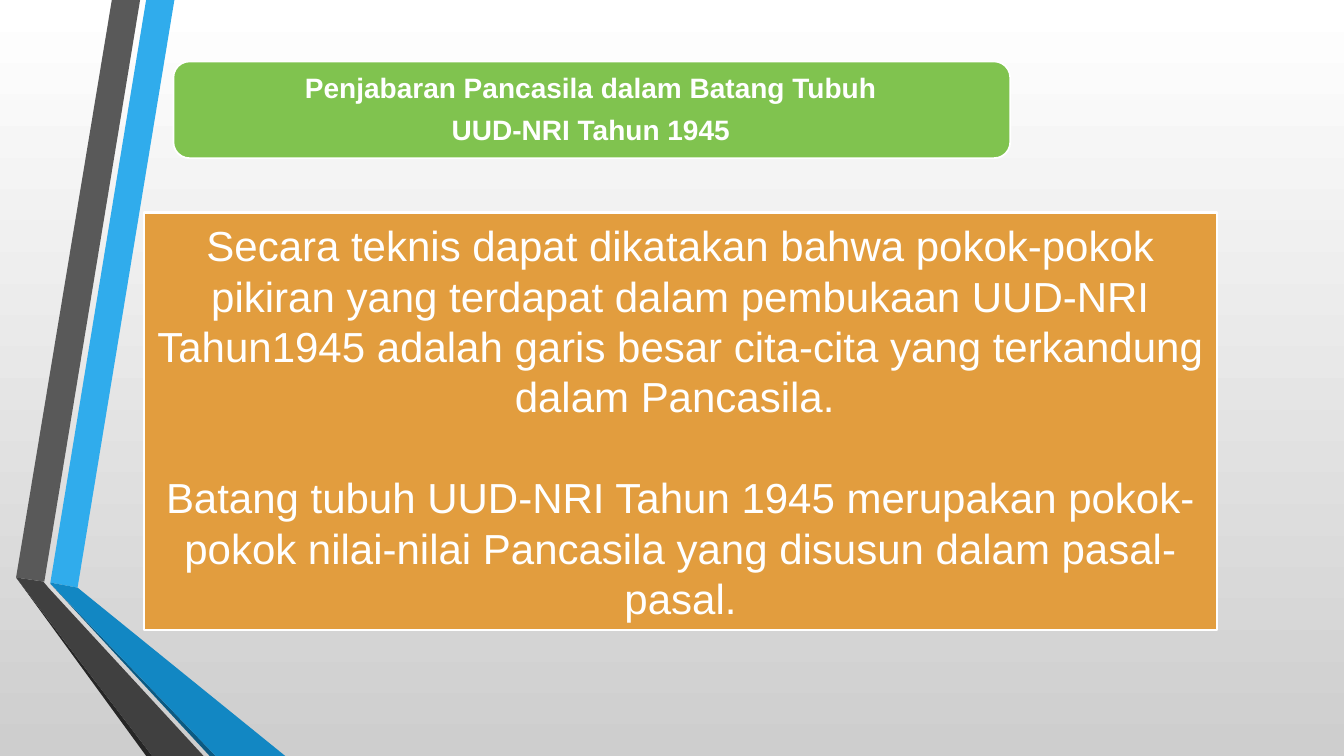
import pptx
import pptx.util
import pptx.dml.color
import pptx.enum.shapes
import pptx.enum.text

Inches = pptx.util.Inches
Pt = pptx.util.Pt
RGBColor = pptx.dml.color.RGBColor
SHAPE = pptx.enum.shapes.MSO_SHAPE

WHITE = RGBColor(0xFF, 0xFF, 0xFF)
SILVER = RGBColor(0xCE, 0xCE, 0xCE)
GREEN = RGBColor(0x80, 0xC3, 0x4F)
ORANGE = RGBColor(0xE2, 0x9D, 0x3E)
SKY = RGBColor(0x30, 0xAC, 0xEC)
BLUE = RGBColor(0x12, 0x87, 0xC3)
NAVY = RGBColor(0x0C, 0x5A, 0x82)
GRAY = RGBColor(0x59, 0x59, 0x59)
CHARCOAL = RGBColor(0x40, 0x40, 0x40)
BLACKISH = RGBColor(0x26, 0x26, 0x26)

RIBBONS = [
    (SKY, [(0.5, 5.78), (0.77, 5.83), (1.73, 0), (1.45, 0)]),
    (GRAY, [(1.39, 0), (1.11, 0), (0.16, 5.73), (0.44, 5.77)]),
    (BLACKISH, [(0.16, 5.73), (1.45, 7.5), (1.51, 7.5)]),
    (NAVY, [(0.5, 5.79), (2.08, 7.5), (2.14, 7.5)]),
    (BLUE, [(0.5, 5.79), (2.14, 7.5), (2.83, 7.5), (0.77, 5.83), (0.5, 5.78)]),
    (CHARCOAL, [(2.02, 7.5), (0.48, 5.83), (0.43, 5.77), (0.16, 5.73), (1.51, 7.5)]),
]
TITLE = ["Penjabaran Pancasila dalam Batang Tubuh", "UUD-NRI Tahun 1945"]
BODY = [
    "Secara teknis dapat dikatakan bahwa pokok-pokok pikiran yang terdapat "
    "dalam pembukaan UUD-NRI Tahun1945 adalah garis besar cita-cita yang "
    "terkandung dalam Pancasila. ",
    "Batang tubuh UUD-NRI Tahun 1945 merupakan pokok-pokok nilai-nilai "
    "Pancasila yang disusun dalam pasal-pasal.",
]


def set_background(s):
    fill = s.background.fill
    fill.gradient()
    fill.gradient_angle = 270
    for stop, color in zip(fill.gradient_stops, (WHITE, SILVER)):
        stop.color.rgb = color


def add_ribbon(s, color, points):
    (x, y), *rest = [(Inches(x), Inches(y)) for x, y in points]
    builder = s.shapes.build_freeform(x, y)
    builder.add_line_segments(rest, close=True)
    sp = builder.convert_to_shape()
    sp.shadow.inherit = False
    sp.fill.solid()
    sp.fill.fore_color.rgb = color
    sp.line.fill.background()


def add_panel(s, kind, box, color, line_width):
    sp = s.shapes.add_shape(kind, *map(Inches, box))
    sp.shadow.inherit = False
    sp.fill.solid()
    sp.fill.fore_color.rgb = color
    sp.line.color.rgb = WHITE
    sp.line.width = Pt(line_width)
    return sp


def write(tf, lines, size, bold, gap, spacing):
    """Fill a frame with centred white paragraphs, gap points apart."""
    tf.word_wrap = True
    tf.auto_size = pptx.enum.text.MSO_AUTO_SIZE.NONE
    tf.vertical_anchor = pptx.enum.text.MSO_ANCHOR.MIDDLE
    tf.text = "\n".join(lines)
    for i, p in enumerate(tf.paragraphs):
        p.alignment = pptx.enum.text.PP_ALIGN.CENTER
        p.line_spacing = spacing
        p.space_before = Pt(gap if i else 0)
        for r in p.runs:
            r.font.name = "Arial"
            r.font.size = Pt(size)
            r.font.bold = bold
            r.font.color.rgb = WHITE


def place_title(s):
    sp = s.shapes.title
    sp.left, sp.top, sp.width, sp.height = map(Inches, (1.76, 0.66, 8.2, 0.87))
    # The placeholder comes first in the tree; lift it above the green panel.
    s.shapes._spTree.append(sp._element)
    tf = sp.text_frame
    tf.margin_left = tf.margin_right = Inches(0.08)
    tf.margin_top = tf.margin_bottom = Inches(0.08)
    write(tf, TITLE, size=20, bold=True, gap=8, spacing=0.9)


def main():
    prs = pptx.Presentation()
    prs.slide_width, prs.slide_height = Inches(13.33), Inches(7.5)
    s = prs.slides.add_slide(prs.slide_layouts[5])
    set_background(s)
    for color, points in RIBBONS:
        add_ribbon(s, color, points)
    add_panel(s, SHAPE.ROUNDED_RECTANGLE, (1.72, 0.61, 8.3, 0.96), GREEN, 1.25)
    place_title(s)
    panel = add_panel(s, SHAPE.RECTANGLE, (1.43, 2.11, 10.64, 4.14), ORANGE, 1.75)
    write(panel.text_frame, BODY, size=30, bold=False, gap=36, spacing=1.0)
    prs.save("out.pptx")


if __name__ == "__main__":
    main()
